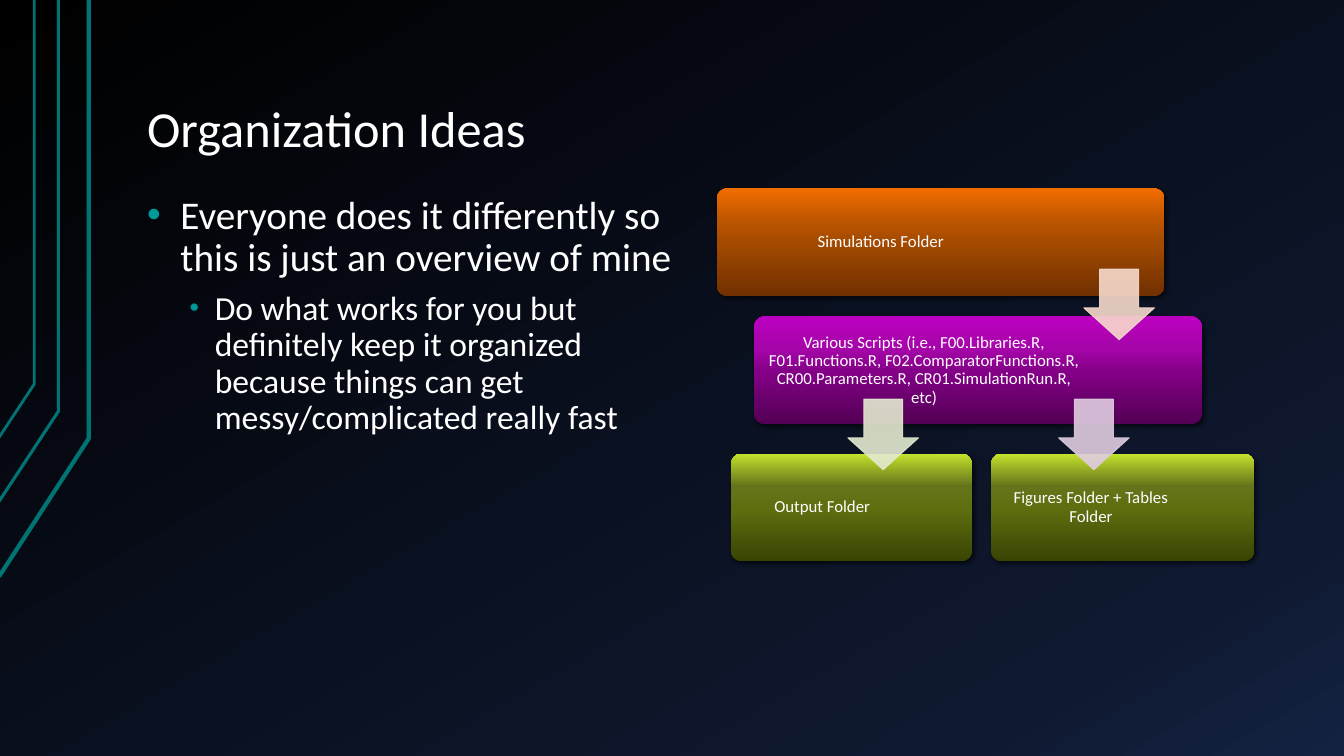
from pptx import Presentation
from pptx.dml.color import RGBColor
from pptx.enum import shapes, text
from pptx.oxml import parse_xml
from pptx.oxml.ns import nsdecls, qn
from pptx.util import Inches, Pt

WHITE = RGBColor(0xFF, 0xFF, 0xFF)
TEAL = RGBColor(0x00, 0x73, 0x73)
BULLET_TEAL = RGBColor(0x00, 0x99, 0x99)
PINK = RGBColor(0xF7, 0xDA, 0xCC)
LILAC = RGBColor(0xE0, 0xCC, 0xE1)
PALE_GREEN = RGBColor(0xE3, 0xE9, 0xD0)
NIGHT = [(0, RGBColor(0x00, 0x00, 0x00)), (85, RGBColor(0x0F, 0x19, 0x31)),
         (100, RGBColor(0x14, 0x22, 0x42))]
ORANGE = [(0, RGBColor(0x70, 0x30, 0x00)), (50, RGBColor(0xA4, 0x4A, 0x00)),
          (70, RGBColor(0xBC, 0x55, 0x00)), (100, RGBColor(0xF2, 0x6D, 0x00))]
PURPLE = [(0, RGBColor(0x52, 0x00, 0x54)), (50, RGBColor(0x85, 0x00, 0x88)),
          (70, RGBColor(0xA5, 0x05, 0xA9)), (100, RGBColor(0xBC, 0x00, 0xC0))]
GREEN = [(0, RGBColor(0x39, 0x44, 0x04)), (50, RGBColor(0x5F, 0x6F, 0x0F)),
         (70, RGBColor(0x65, 0x74, 0x1A)), (100, RGBColor(0xC4, 0xE3, 0x2D))]

FOLDERS = [
    ("Simulations Folder", 7.11, 1.87, 4.44, 3.19, ORANGE),
    ("Various Scripts (i.e., F00.Libraries.R, F01.Functions.R, "
     "F02.ComparatorFunctions.R, CR00.Parameters.R, CR01.SimulationRun.R, etc)",
     7.48, 3.14, 4.44, 3.31, PURPLE),
    ("Output Folder", 7.25, 4.5, 2.39, 1.75, GREEN),
    ("Figures Folder + Tables Folder", 9.83, 4.5, 2.61, 1.92, GREEN),
]
ARROWS = [(10.75, 2.67, PINK), (10.5, 3.96, LILAC), (8.41, 3.96, PALE_GREEN)]
CORNER_LINES = [
    ([(-0.01, 5.72), (0.88, 4.35), (0.88, 0)], 3),
    ([(-0.02, 4.99), (0.58, 4.08), (0.58, 0)], 2.25),
    ([(-0.01, 4.34), (0.34, 3.81), (0.34, 0)], 2),
]
IDEAS = [
    ("Everyone does it differently so this is just an overview of mine",
     28, 16, 0.33, 0.33, 100),
    ("Do what works for you but definitely keep it organized because things "
     "can get messy/complicated really fast", 24, 8, 0.67, 0.25, 80),
]


def set_gradient(fill, element, stops, angle):
    fill.gradient()
    fill.gradient_angle = angle
    stop_list = next(element.iter(qn("a:gsLst")))
    for stop in list(stop_list):
        stop_list.remove(stop)
    for position, color in stops:
        stop_list.append(parse_xml(
            f'<a:gs {nsdecls("a")} pos="{position * 1000}">'
            f'<a:srgbClr val="{color}"/></a:gs>'))


def add_corner_line(slide, points, width):
    corners = [(Inches(x), Inches(y)) for x, y in points]
    builder = slide.shapes.build_freeform(*corners[0])
    builder.add_line_segments(corners[1:], close=False)
    line = builder.convert_to_shape()
    line.shadow.inherit = False
    line.fill.background()
    line.line.color.rgb = TEAL
    line.line.width = Pt(width)


def add_text_frame(slide, left, top, width, height, anchor, inset_x, inset_y):
    frame = slide.shapes.add_textbox(
        Inches(left), Inches(top), Inches(width), Inches(height)).text_frame
    frame.word_wrap = True
    frame.vertical_anchor = anchor
    frame.margin_left = frame.margin_right = Inches(inset_x)
    frame.margin_top = frame.margin_bottom = Inches(inset_y)
    return frame


def write(paragraph, wording, size):
    paragraph.text = wording
    paragraph.line_spacing = 0.9
    for run in paragraph.runs:
        run.font.name = "Calibri"
        run.font.size = Pt(size)
        run.font.color.rgb = WHITE


def add_bullet(paragraph, indent, hanging, percent):
    properties = paragraph._p.get_or_add_pPr()
    properties.set("marL", str(Inches(indent)))
    properties.set("indent", str(-Inches(hanging)))
    for xml in (f'<a:buClr {nsdecls("a")}><a:srgbClr val="{BULLET_TEAL}"/></a:buClr>',
                f'<a:buSzPct {nsdecls("a")} val="{percent * 1000}"/>',
                f'<a:buFont {nsdecls("a")} typeface="Arial"/>',
                f'<a:buChar {nsdecls("a")} char="•"/>'):
        properties.append(parse_xml(xml))


def add_ideas(slide):
    frame = add_text_frame(slide, 1.33, 1.87, 5.55, 4.88,
                           text.MSO_ANCHOR.TOP, 0.13, 0.07)
    for number, (wording, size, before, indent, hanging, percent) in enumerate(IDEAS):
        idea = frame.add_paragraph() if number else frame.paragraphs[0]
        write(idea, wording, size)
        idea.level = number
        idea.space_before = Pt(before)
        add_bullet(idea, indent, hanging, percent)


def add_folder(slide, wording, left, top, width, label_width, stops):
    folder = slide.shapes.add_shape(
        shapes.MSO_SHAPE.ROUNDED_RECTANGLE,
        Inches(left), Inches(top), Inches(width), Inches(1.07))
    folder.adjustments[0] = 0.1
    folder.line.fill.background()
    set_gradient(folder.fill, folder._element, stops, 90)
    folder.shadow.inherit = False
    folder._element.spPr.find(qn("a:effectLst")).append(parse_xml(
        f'<a:outerShdw {nsdecls("a")} blurRad="{Pt(3)}" dist="{Pt(2)}" '
        'dir="2700000" rotWithShape="0"><a:srgbClr val="000000">'
        '<a:alpha val="60000"/></a:srgbClr></a:outerShdw>'))
    label = add_text_frame(slide, left + 0.03, top + 0.03, label_width, 1.01,
                           text.MSO_ANCHOR.MIDDLE, 0.05, 0.05).paragraphs[0]
    write(label, wording, 12)
    label.alignment = text.PP_ALIGN.CENTER


def add_arrow(slide, left, top, color):
    arrow = slide.shapes.add_shape(
        shapes.MSO_SHAPE.DOWN_ARROW,
        Inches(left), Inches(top), Inches(0.7), Inches(0.7))
    arrow.adjustments[0] = 0.55
    arrow.adjustments[1] = 0.45
    arrow.shadow.inherit = False
    arrow.fill.solid()
    arrow.fill.fore_color.rgb = color
    arrow.line.color.rgb = color
    arrow.line.width = Pt(0.75)
    for tint in arrow._element.spPr.iter(qn("a:srgbClr")):
        tint.append(parse_xml(f'<a:alpha {nsdecls("a")} val="90000"/>'))


def main():
    deck = Presentation()
    deck.slide_width = Inches(13.33)
    deck.slide_height = Inches(7.5)
    slide = deck.slides.add_slide(deck.slide_layouts[6])
    set_gradient(slide.background.fill, slide.element, NIGHT, 300)
    for points, width in CORNER_LINES:
        add_corner_line(slide, points, width)
    title = add_text_frame(slide, 1.33, 0.3, 11.33, 1.34,
                           text.MSO_ANCHOR.BOTTOM, 0.13, 0.07)
    write(title.paragraphs[0], "Organization Ideas", 36)
    add_ideas(slide)
    for folder in FOLDERS:
        add_folder(slide, *folder)
    for arrow in ARROWS:
        add_arrow(slide, *arrow)
    deck.save("out.pptx")


if __name__ == "__main__":
    main()
